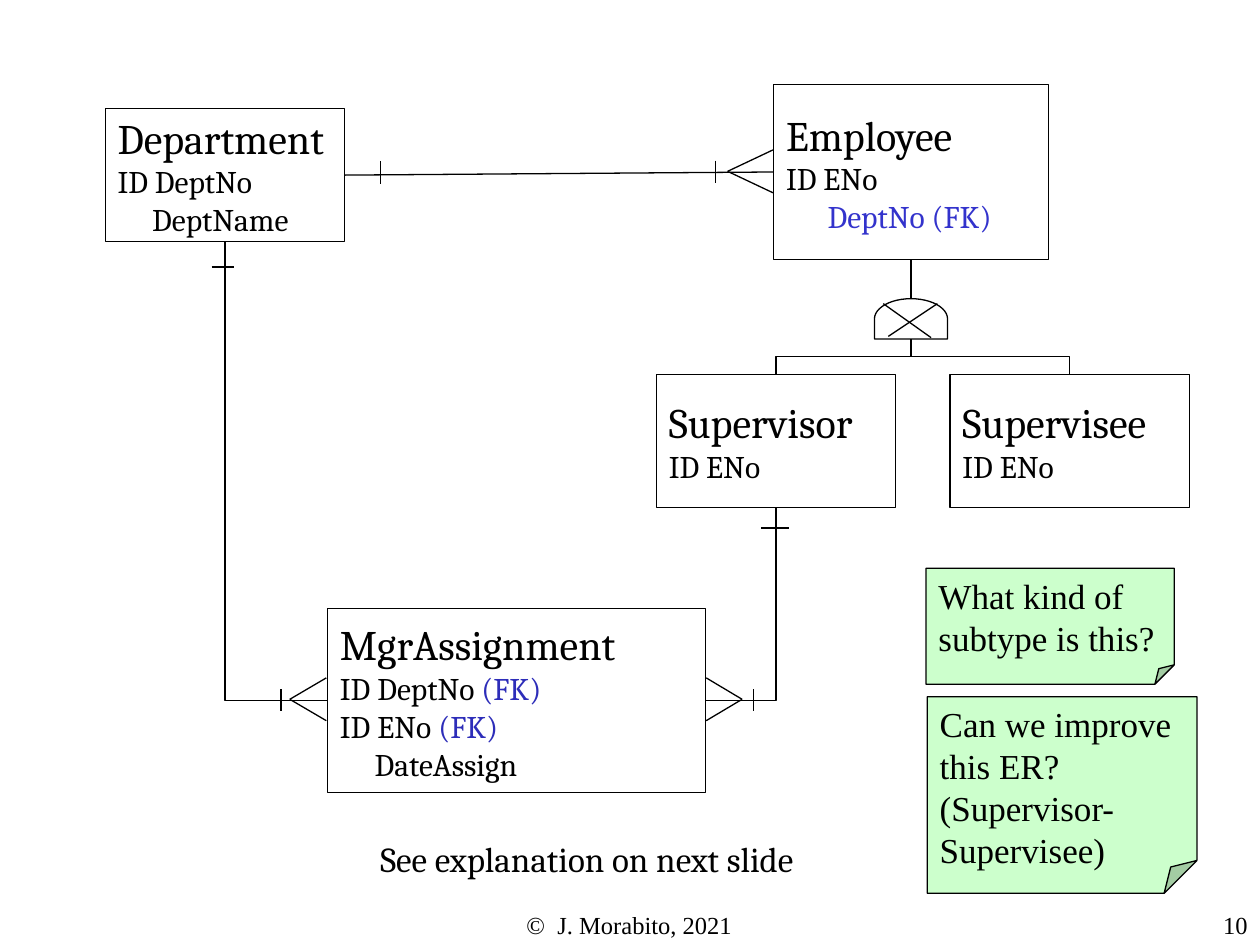
from lxml import etree
from pptx import Presentation
from pptx.dml.color import RGBColor
from pptx.enum.shapes import MSO_CONNECTOR, MSO_SHAPE
from pptx.enum.text import MSO_ANCHOR, MSO_AUTO_SIZE, PP_ALIGN
from pptx.oxml.ns import qn
from pptx.util import Inches, Pt

STRAIGHT, ELBOW = MSO_CONNECTOR.STRAIGHT, MSO_CONNECTOR.ELBOW
RECTANGLE, NOTE = MSO_SHAPE.RECTANGLE, MSO_SHAPE.FOLDED_CORNER
DELAY = MSO_SHAPE.FLOWCHART_DELAY
LEFT, CENTER, RIGHT = PP_ALIGN.LEFT, PP_ALIGN.CENTER, PP_ALIGN.RIGHT
TOP_SIDE, LEFT_SIDE, BOTTOM_SIDE, RIGHT_SIDE = range(4)

COLORS = {"ink": "000000", "key": "3333CC", "foreign": "2D2DB9", "note": "CCFFCC"}
SERIF, ENTITY_FONT = "Times New Roman", "Cambria"
LINE_WIDTH = Pt(0.75)

# The slide is a grid of 100 columns by 75 rows of square cells.
CELL = Inches(0.1)

prs = Presentation()
prs.slide_width, prs.slide_height = 100 * CELL, 75 * CELL
slide = prs.slides.add_slide(prs.slide_layouts[6])
shapes = slide.shapes


def add_line(x1, y1, x2, y2, kind=STRAIGHT):
    """Draw a thin shadowless connector between two grid points."""
    line = shapes.add_connector(kind, *(round(v * CELL) for v in (x1, y1, x2, y2)))
    line.line.color.rgb = RGBColor.from_string(COLORS["ink"])
    line.line.width = LINE_WIDTH
    etree.SubElement(line._element.spPr, qn("a:effectLst"))
    return line


def add_run(paragraph, text, size, font, color="ink"):
    run = paragraph.add_run()
    run.text = text
    run.font.size = Pt(size)
    run.font.name = font
    run.font.color.rgb = RGBColor.from_string(COLORS[color])


# Footer and caption
captions = [
    ("©  J. Morabito, 2021", 34.1, 71.7, 31.7, 2.5, CENTER, 14, SERIF, True),
    ("10", 85.8, 71.7, 14.2, 3.3, RIGHT, 14, SERIF, True),
    ("See explanation on next slide", 29.2, 66, 40.2, 4.4, LEFT, 20, ENTITY_FONT, False),
]
for text, x, y, w, h, align, size, font, wrap in captions:
    frame = shapes.add_textbox(*(round(v * CELL) for v in (x, y, w, h))).text_frame
    frame.word_wrap = wrap
    if not wrap:
        frame.auto_size = MSO_AUTO_SIZE.SHAPE_TO_FIT_TEXT
    frame.paragraphs[0].alignment = align
    add_run(frame.paragraphs[0], text, size, font)

# Entities: name, place, then attributes as (indent in cells, text runs)
entities = [
    ("Employee", (61.4, 6.7, 21.8, 13.9),
     [(0, [("ID ENo", "ink")]), (3.3, [("DeptNo (FK)", "key")])]),
    ("Department", (8.35, 8.6, 19, 10.6),
     [(0, [("ID DeptNo", "ink")]), (2.75, [("DeptName", "ink")])]),
    ("MgrAssignment", (26, 48.3, 30, 14.6),
     [(0, [("ID DeptNo", "ink"), (" (FK)", "foreign")]),
      (0, [("ID ENo ", "ink"), ("(FK)", "foreign")]),
      (2.75, [("DateAssign", "ink")])]),
    ("Supervisor", (52.1, 29.7, 19, 10.6), [(0, [("ID ENo", "ink")])]),
    ("Supervisee", (75.4, 29.7, 19, 10.6), [(0, [("ID ENo", "ink")])]),
]
boxes = {}
for name, place, attributes in entities:
    box = shapes.add_shape(RECTANGLE, *(round(v * CELL) for v in place))
    boxes[name] = box
    box.shadow.inherit = False
    box.fill.background()
    box.line.color.rgb = RGBColor.from_string(COLORS["ink"])
    box.line.width = LINE_WIDTH
    frame = box.text_frame
    frame.word_wrap = False
    frame.vertical_anchor = MSO_ANCHOR.MIDDLE
    frame.paragraphs[0].alignment = LEFT
    add_run(frame.paragraphs[0], name, 24, ENTITY_FONT)
    for indent, runs in attributes:
        paragraph = frame.add_paragraph()
        paragraph.alignment = LEFT
        if indent:
            paragraph._p.get_or_add_pPr().set("marL", str(round(indent * CELL)))
        for text, color in runs:
            add_run(paragraph, text, 18, ENTITY_FONT, color)

# Department to Employee
employs = add_line(27.35, 13.9, 61.4, 13.65)
employs.begin_connect(boxes["Department"], RIGHT_SIDE)
employs.end_connect(boxes["Employee"], LEFT_SIDE)

# Subtype symbol below Employee, with its cross
symbol = shapes.add_shape(DELAY, *(round(v * CELL) for v in (70.7, 22.4, 3.2, 5.8)))
symbol.rotation = 270
symbol.shadow.inherit = False
symbol.fill.background()
symbol.line.color.rgb = RGBColor.from_string(COLORS["ink"])
symbol.line.width = LINE_WIDTH
add_line(70.5, 26.7, 74.4, 24.1)
add_line(73.9, 26.8, 70.1, 24.1)
add_line(72.3, 23.7, 72.3, 20.6).end_connect(boxes["Employee"], BOTTOM_SIDE)

# Right-angled links: ends, rotation, flips and preset
elbows = [
    (17.85, 19.2, 26, 55.6, 270, ("flipH",), "bentConnector2"),
    (61.6, 40.3, 56, 55.6, 90, (), "bentConnector2"),
    (61.6, 29.7, 72.3, 26.9, 90, ("flipH", "flipV"), "bentConnector3"),
    (84.9, 29.7, 72.3, 26.9, 270, ("flipV",), "bentConnector3"),
]
for x1, y1, x2, y2, rotation, flips, preset in elbows:
    link = add_line(x1, y1, x2, y2, ELBOW)
    # A quarter turn swaps the frame's sides about its centre.
    w, h = abs(x2 - x1), abs(y2 - y1)
    link.left = round(((x1 + x2 - h) / 2) * CELL)
    link.top = round(((y1 + y2 - w) / 2) * CELL)
    link.width, link.height = round(h * CELL), round(w * CELL)
    properties = link._element.spPr
    frame = properties.find(qn("a:xfrm"))
    for flip in ("flipH", "flipV"):
        frame.set(flip, "1" if flip in flips else "0")
    frame.set("rot", str(rotation * 60000))
    properties.find(qn("a:prstGeom")).set("prst", preset)

# "Many" ends: tip column, tip row, entity edge
for tip_x, tip_y, edge_x in [(57.75, 13.6, 61.35), (23, 55.5, 25.9), (58.9, 55.5, 56.05)]:
    for spread in (-1.7, 1.7):
        add_line(tip_x, tip_y, edge_x, tip_y + spread)

# "One" marks: centre, then half width and half height
marks = [
    (30.2, 13.7, 0, 0.9), (56.8, 13.65, 0, 0.9),
    (22.3, 55.55, 0, 0.85), (59.8, 55.55, 0, 0.85),
    (17.7, 21.2, 0.9, 0), (61.5, 41.9, 1.1, 0),
]
for x, y, half_w, half_h in marks:
    add_line(x - half_w, y - half_h, x + half_w, y + half_h)

# Questions on notes
questions = [
    ("What kind of subtype is this?", (73.5, 45.1, 19.7, 9.2)),
    ("Can we improve this ER? (Supervisor-Supervisee)", (73.6, 55.3, 21.4, 15.6)),
]
for question, place in questions:
    note = shapes.add_shape(NOTE, *(round(v * CELL) for v in place))
    note.shadow.inherit = False
    note.fill.solid()
    note.fill.fore_color.rgb = RGBColor.from_string(COLORS["note"])
    note.line.color.rgb = RGBColor.from_string(COLORS["ink"])
    note.line.width = LINE_WIDTH
    note.text_frame.word_wrap = True
    note.text_frame.vertical_anchor = MSO_ANCHOR.TOP
    note.text_frame.paragraphs[0].alignment = LEFT
    add_run(note.text_frame.paragraphs[0], question, 20, SERIF)

prs.save("out.pptx")
